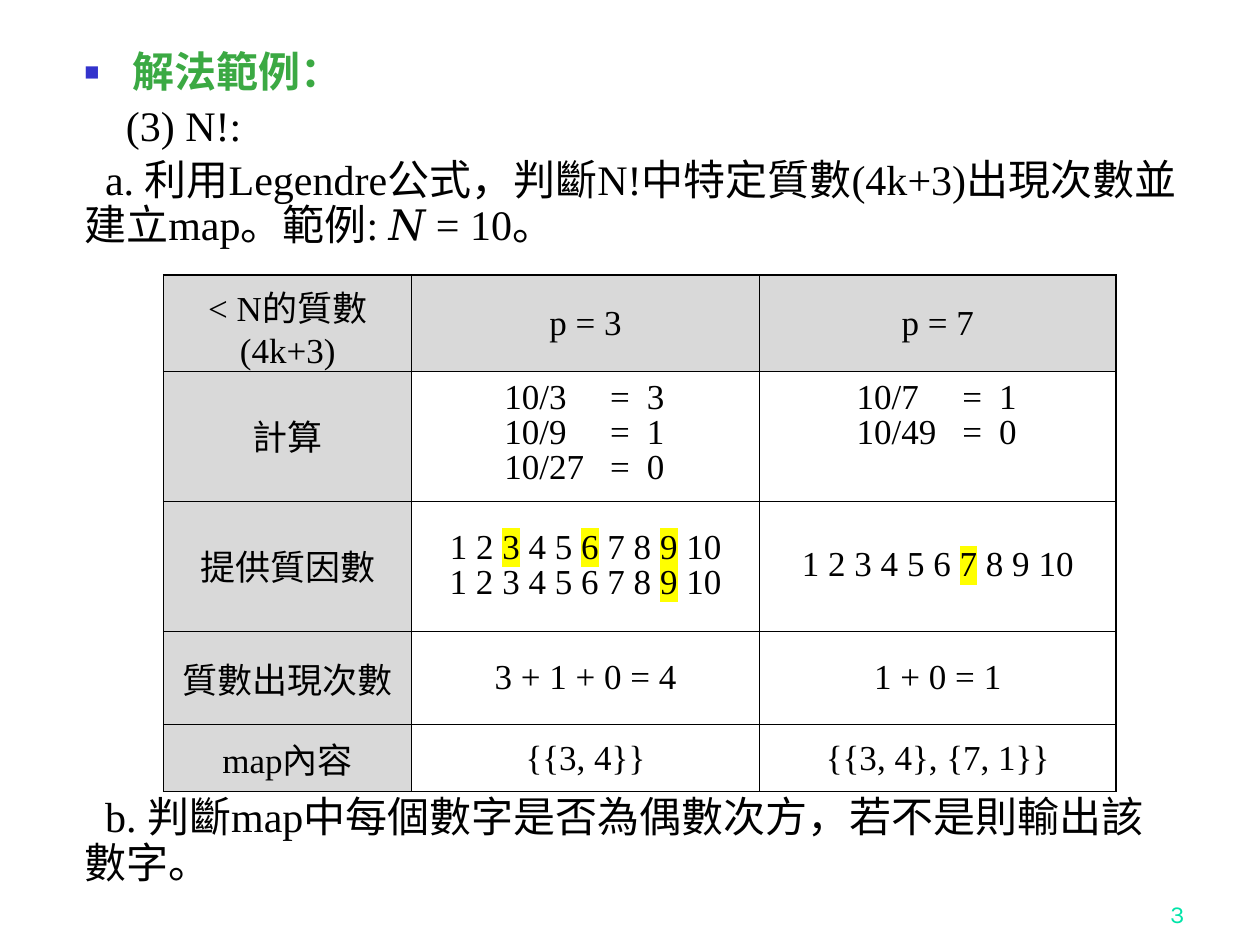
"""Build the slide on prime counts in N! with its worked table."""
import pptx
import pptx.dml.color
import pptx.enum.text
import pptx.oxml
import pptx.util
from pptx.oxml.ns import nsdecls

Cm, Pt = pptx.util.Cm, pptx.util.Pt
ALIGN, ANCHOR = pptx.enum.text.PP_ALIGN, pptx.enum.text.MSO_ANCHOR
SERIF = "Times New Roman"
BLACK, GREEN, GREY, WHITE = "000000", "3BA943", "D9D9D9", "FFFFFF"

TITLE = "解法範例："
INTRO = [
    (0.84, "(3) N!:"),
    (0.42, "a. 利用Legendre公式，判斷N!中特定質數(4k+3)出現次數並建立map。範例: 𝑁 = 10。"),
]
CLOSE = "b. 判斷map中每個數字是否為偶數次方，若不是則輸出該數字。"
COLS = [5, 7.01, 7.19]
ROWS = [1.88, 2.62, 2.62, 1.88, 1.35]
GRID = [
    [["< N的質數(4k+3)"], ["p = 3"], ["p = 7"]],
    [["計算"],
     ["10/3\t=\t3", "10/9\t=\t1", "10/27\t=\t0"],
     ["10/7\t=\t1", "10/49\t=\t0"]],
    [["提供質因數"],
     ["1 2 *3* 4 5 *6* 7 8 *9* 10", "1 2 3 4 5 6 7 8 *9* 10"],
     ["1 2 3 4 5 6 *7* 8 9 10"]],
    [["質數出現次數"], ["3 + 1 + 0 = 4"], ["1 + 0 = 1"]],
    [["map內容"], ["{{3, 4}}"], ["{{3, 4}, {7, 1}}"]],
]
TIGHT = (1, 2)
TABS = [2.13, 2.87]
SUM = 4.07


def rgb(code):
    return pptx.dml.color.RGBColor.from_string(code)


def node(xml):
    tag, rest = xml.split(" ", 1)
    return pptx.oxml.parse_xml(f"<a:{tag} {nsdecls('a')} {rest}")


def fill(code):
    return f'<a:solidFill><a:srgbClr val="{code}"/></a:solidFill>'


def add_run(para, text, size, color=BLACK, bold=False, face=SERIF, mark=False):
    run = para.add_run()
    run.text = text
    font = run.font
    font.size, font.bold, font.name = Pt(size), bold, face
    font.color.rgb = rgb(color)
    if mark:
        glow = node('highlight ><a:srgbClr val="FFFF00"/></a:highlight>')
        font._element.solidFill.addnext(glow)


def add_box(slide, left, top, width, height):
    frame = slide.shapes.add_textbox(Cm(left), Cm(top), Cm(width), Cm(height)).text_frame
    frame.word_wrap = True
    return frame


def set_lead(para, left, first):
    props = para._p.get_or_add_pPr()
    props.set("marL", str(Cm(left)))
    props.set("indent", str(Cm(first)))
    return props


def add_body(slide):
    frame = add_box(slide, 1.45, 0.91, 22.63, 4.5)
    head = frame.paragraphs[0]
    head.line_spacing = 0.9
    props = set_lead(head, 0.97, -0.97)
    for xml in ('buClr ><a:srgbClr val="3333CC"/></a:buClr>', 'buSzPct val="60000"/>',
                'buFont typeface="Arial"/>', 'buChar char="■"/>'):
        props.append(node(xml))
    add_run(head, TITLE, 24, GREEN, True)
    for lead, text in INTRO:
        para = frame.add_paragraph()
        para.line_spacing, para.space_before = 0.9, Pt(4.8)
        set_lead(para, 0, lead)
        add_run(para, text, 24)
    last = add_box(slide, 1.45, 15.93, 22.63, 2.2).paragraphs[0]
    last.line_spacing = 0.9
    set_lead(last, 0, 0.42)
    add_run(last, CLOSE, 24)


def fill_cell(cell, lines, row, col):
    props = cell._tc.get_or_add_tcPr()
    for side in "LRTB":
        props.append(node(f'ln{side} w="{Pt(1)}">{fill(BLACK)}</a:ln{side}>'))
    cell.fill.solid()
    cell.fill.fore_color.rgb = rgb(GREY if row == 0 or col == 0 else WHITE)
    cell.vertical_anchor = ANCHOR.MIDDLE
    sums = "\t" in lines[0]
    if sums:
        cell.vertical_anchor = ANCHOR.TOP
        cell.margin_left = Cm((COLS[col] - SUM) / 2 + 0.4)
        cell.margin_top = Cm(0.2)
    frame = cell.text_frame
    for num, line in enumerate(lines):
        para = frame.add_paragraph() if num else frame.paragraphs[0]
        para.alignment = ALIGN.LEFT if sums else ALIGN.CENTER
        if row in TIGHT:
            para.line_spacing = 0.9
        if sums:
            stops = "".join(f'<a:tab pos="{Cm(pos)}" algn="l"/>' for pos in TABS)
            para._p.get_or_add_pPr().append(node(f"tabLst >{stops}</a:tabLst>"))
        for part, text in enumerate(line.split("*")):
            add_run(para, text, 20, mark=part % 2 == 1)


def add_grid(slide):
    table = slide.shapes.add_table(len(ROWS), len(COLS), Cm(3.3), Cm(5.54),
                                   Cm(sum(COLS)), Cm(sum(ROWS))).table
    for col, width in zip(table.columns, COLS):
        col.width = Cm(width)
    for row, height in zip(table.rows, ROWS):
        row.height = Cm(height)
    for row, cells in enumerate(GRID):
        for col, lines in enumerate(cells):
            fill_cell(table.cell(row, col), lines, row, col)


def main():
    deck = pptx.Presentation()
    deck.slide_width, deck.slide_height = Cm(25.4), Cm(19.05)
    slide = deck.slides.add_slide(deck.slide_layouts[6])
    add_body(slide)
    add_grid(slide)
    page = add_box(slide, 18.85, 17.58, 5.28, 1.27)
    page.vertical_anchor = ANCHOR.BOTTOM
    page.paragraphs[0].alignment = ALIGN.RIGHT
    add_run(page.paragraphs[0], "3", 14, "00E4A8", face="Karla")
    deck.save("out.pptx")


if __name__ == "__main__":
    main()
